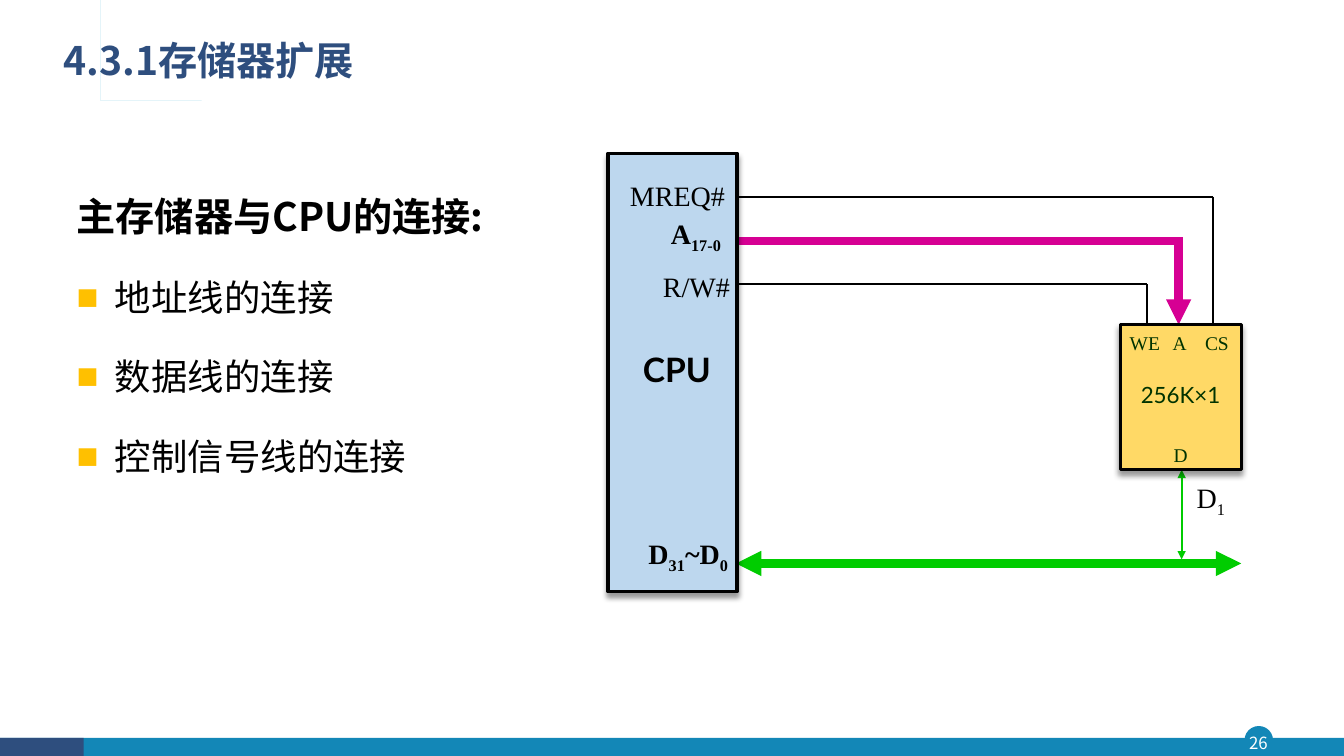
from lxml import etree
from pptx import Presentation
from pptx.dml.color import RGBColor
from pptx.enum import shapes, text
from pptx.oxml import parse_xml
from pptx.oxml.ns import nsdecls, qn
from pptx.util import Inches, Pt

COLORS = {
    "navy": "2E4E7E", "teal": "1387B7", "sky": "28A9D6", "white": "FFFFFF",
    "black": "000000", "amber": "FFC000", "magenta": "D60093", "green": "00CC00",
    "cpu": "BDD7EE", "chip": "FFD966", "chip_text": "003300",
}
SANS, SERIF, LATIN = "Noto Sans CJK SC", "Times New Roman", "Lato"
ALIGN, ANCHOR = text.PP_ALIGN, text.MSO_ANCHOR


def color(name):
    return RGBColor.from_string(COLORS[name])


def place(shape, box):
    shape.left, shape.top, shape.width, shape.height = [Inches(v) for v in box]


def format_run(run, size, font, tint, bold=False, baseline=0):
    run.font.size, run.font.bold, run.font.name = Pt(size), bold, font
    run.font.color.rgb = color(tint)
    properties = run._r.get_or_add_rPr()
    etree.SubElement(properties, qn("a:ea")).set("typeface", font)
    if baseline:
        properties.set("baseline", str(baseline * 1000))


def add_box(slide, kind, box, fill, line=None, width=1, shadow=False):
    shape = slide.shapes.add_shape(kind, *[Inches(v) for v in box])
    shape.shadow.inherit = False
    shape.fill.solid()
    shape.fill.fore_color.rgb = color(fill)
    if line:
        shape.line.color.rgb = color(line)
        shape.line.width = Pt(width)
    else:
        shape.line.fill.background()
    if shadow:
        effects = shape._element.spPr.find(qn("a:effectLst"))
        effects.append(parse_xml(
            f'<a:outerShdw {nsdecls("a")} blurRad="50800" dist="38100" dir="5400000" '
            'algn="t" rotWithShape="0"><a:srgbClr val="000000"><a:alpha val="40000"/>'
            '</a:srgbClr></a:outerShdw>'))


def add_label(slide, box, parts, size, font, tint, bold=False, align=ALIGN.RIGHT,
              inset=(0.01, 0.01), wrap=True, anchor=ANCHOR.TOP):
    frame = slide.shapes.add_textbox(*[Inches(v) for v in box]).text_frame
    frame.word_wrap, frame.vertical_anchor = wrap, anchor
    frame.margin_left = frame.margin_right = Inches(inset[0])
    frame.margin_top = frame.margin_bottom = Inches(inset[1])
    paragraph = frame.paragraphs[0]
    paragraph.alignment = align
    for words, baseline in parts:
        run = paragraph.add_run()
        run.text = words
        format_run(run, size, font, tint, bold, baseline)


def add_wire(slide, start, end, tint="black", width=1.5, ends=()):
    wire = slide.shapes.add_connector(
        shapes.MSO_CONNECTOR.STRAIGHT, *[Inches(v) for v in start + end])
    wire.line.color.rgb = color(tint)
    wire.line.width = Pt(width)
    for end_name in ends:
        etree.SubElement(wire.line._get_or_add_ln(), qn(f"a:{end_name}")).set("type", "triangle")
    etree.SubElement(wire._element.spPr, qn("a:effectLst"))


def add_frame(slide):
    add_box(slide, shapes.MSO_SHAPE.OVAL, (12.35, 7.21, 0.27, 0.27), "teal", "teal")
    add_box(slide, shapes.MSO_SHAPE.RECTANGLE, (0, 7.32, 13.33, 0.18), "teal")
    add_box(slide, shapes.MSO_SHAPE.RECTANGLE, (0, 7.32, 0.83, 0.18), "navy")
    add_label(slide, (12.32, 7.21, 0.32, 0.31), [("26", 0)], 12, SANS, "white",
              align=ALIGN.CENTER, inset=(0, 0), anchor=ANCHOR.MIDDLE)
    outline = [(0.54, 0.39), (0.54, 0.85), (1.87, 0.85), (1.87, 0.87), (0.52, 0.87),
               (0.52, 0.41), (0.47, 0.41), (0.47, 0.87), (0.36, 0.87), (0.36, 0.39),
               (0.39, 0.39), (0.39, 0.84), (0.44, 0.84), (0.44, 0.39)]
    builder = slide.shapes.build_freeform(*outline[0], scale=Inches(1))
    builder.add_line_segments(outline[1:], close=True)
    ornament = builder.convert_to_shape()
    ornament.shadow.inherit = False
    ornament.fill.solid()
    ornament.fill.fore_color.rgb = color("sky")
    ornament.line.fill.background()


def fill_title(slide, words):
    title = slide.shapes.title
    place(title, (0.53, 0.28, 11.5, 0.68))
    frame = title.text_frame
    frame.text = words
    frame.auto_size = text.MSO_AUTO_SIZE.NONE
    frame.vertical_anchor = ANCHOR.MIDDLE
    paragraph = frame.paragraphs[0]
    paragraph.alignment, paragraph.line_spacing = ALIGN.LEFT, 0.9
    format_run(paragraph.runs[0], 28, SANS, "navy", True)


def set_bullet(paragraph, bulleted):
    properties = paragraph._p.get_or_add_pPr()
    indent = Inches(0.38) if bulleted else 0
    properties.set("marL", str(indent))
    properties.set("indent", str(-indent))
    if not bulleted:
        etree.SubElement(properties, qn("a:buNone"))
        return
    tint = etree.SubElement(properties, qn("a:buClr"))
    etree.SubElement(tint, qn("a:srgbClr")).set("val", COLORS["amber"])
    etree.SubElement(properties, qn("a:buFont")).set("typeface", "Arial")
    etree.SubElement(properties, qn("a:buChar")).set("char", "■")


def fill_body(slide, heading, items):
    body = slide.placeholders[1]
    place(body, (0.66, 1.62, 4.85, 3.93))
    frame = body.text_frame
    frame.text = "\n".join([heading] + items)
    frame.auto_size = text.MSO_AUTO_SIZE.NONE
    for index, paragraph in enumerate(frame.paragraphs):
        is_item = index > 0
        set_bullet(paragraph, is_item)
        paragraph.alignment, paragraph.line_spacing = ALIGN.JUSTIFY, 1.5
        paragraph.space_before = Pt(10 if is_item else 0)
        format_run(paragraph.runs[0], 26 if is_item else 28, SANS, "black", not is_item)


def add_wires(slide):
    cpu_edge, chip_top = 7.3, 3.22
    for y, x in ((1.95, 12.03), (2.82, 11.38)):
        add_wire(slide, (cpu_edge, y), (x, y))
        add_wire(slide, (x, y), (x, chip_top))
    add_wire(slide, (cpu_edge, 2.39), (11.73, 2.39), "magenta", 6)
    add_wire(slide, (11.69, 2.39), (11.69, chip_top), "magenta", 6, ["tailEnd"])
    both = ["headEnd", "tailEnd"]
    add_wire(slide, (cpu_edge, 5.59), (12.31, 5.59), "green", 6, both)
    add_wire(slide, (11.72, 4.66), (11.72, 5.55), "green", 1.5, both)


def add_cpu(slide):
    add_box(slide, shapes.MSO_SHAPE.RECTANGLE, (6.03, 1.52, 1.28, 4.35), "cpu",
            "black", 2.25, shadow=True)
    pins = [
        (6.04, 2.14, [("A", 0), ("17-0", -25)], True),
        (6.08, 1.76, [("MREQ#", 0)], False),
        (6.13, 2.66, [("R/W#", 0)], False),
        (6.11, 5.31, [("D", 0), ("31", -25), ("~D", 0), ("0", -25)], True),
    ]
    for left, top, parts, bold in pins:
        add_label(slide, (left, top, 1.12, 0.56), parts, 20, SERIF, "black", bold)
    add_label(slide, (5.94, 3.45, 1.12, 0.56), [("CPU", 0)], 24, LATIN, "black", True)


def add_chip(slide):
    add_box(slide, shapes.MSO_SHAPE.RECTANGLE, (11.11, 3.22, 1.2, 1.44), "chip",
            "black", 2.25, shadow=True)
    pins = [("WE", 11.08, 3.19, 0.55), ("A", 11.52, 3.19, 0.36),
            ("CS", 11.83, 3.19, 0.48), ("D", 11.53, 4.31, 0.36)]
    for name, left, top, width in pins:
        add_label(slide, (left, top, width, 0.5), [(name, 30)], 24, SERIF, "chip_text",
                  align=ALIGN.CENTER, inset=(0.1, 0.05), wrap=False)
    add_label(slide, (11.08, 3.73, 1.26, 0.37), [("256K×1", 0)], 16, LATIN, "chip_text",
              align=ALIGN.CENTER, inset=(0.1, 0.05))
    add_label(slide, (11.68, 4.76, 0.48, 0.55), [("D", 0), ("1", -25)], 20, SERIF, "black")


def main():
    presentation = Presentation()
    presentation.slide_width, presentation.slide_height = Inches(13.33), Inches(7.5)
    slide = presentation.slides.add_slide(presentation.slide_layouts[1])
    add_frame(slide)
    fill_title(slide, "4.3.1存储器扩展")
    fill_body(slide, "主存储器与CPU的连接:", ["地址线的连接", "数据线的连接", "控制信号线的连接"])
    add_wires(slide)
    add_cpu(slide)
    add_chip(slide)
    presentation.save("out.pptx")


if __name__ == "__main__":
    main()
